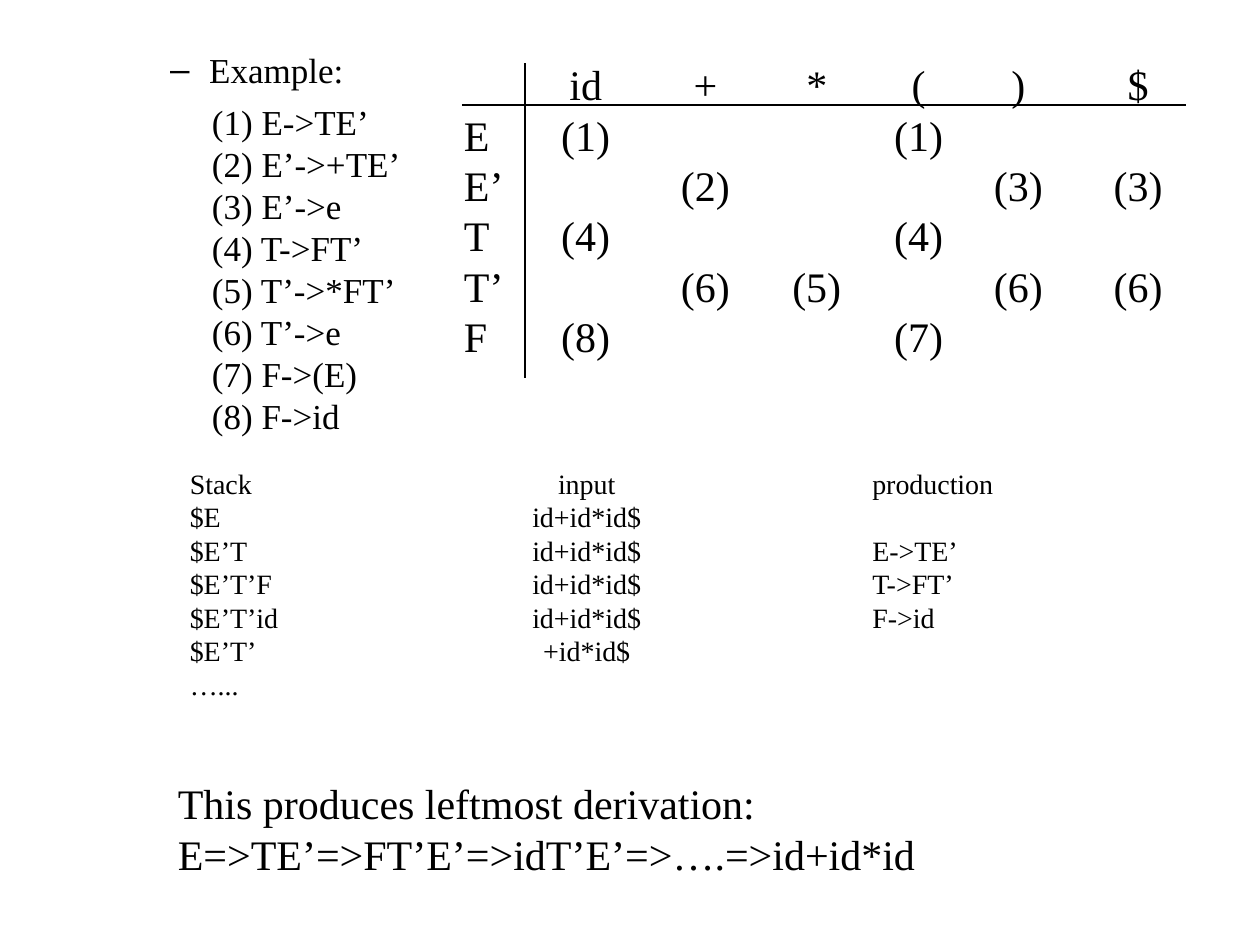
from dataclasses import dataclass

from lxml.etree import SubElement
from pptx import Presentation
from pptx.dml.color import RGBColor
from pptx.enum.shapes import MSO_CONNECTOR
from pptx.enum.text import MSO_ANCHOR, PP_ALIGN
from pptx.oxml.ns import qn
from pptx.util import Inches, Pt


@dataclass(frozen=True)
class Theme:
    font: str = "Times New Roman"
    ink: RGBColor = RGBColor(0, 0, 0)
    paper: RGBColor = RGBColor(255, 255, 255)
    large: int = 24
    medium: int = 20
    small: int = 16
    rule: float = 0.75


class SlideBuilder:
    """Places elements on a grid of 120 columns by 90 rows."""

    COLUMNS, ROWS = 120, 90

    def __init__(self, prs, theme):
        self.theme = theme
        self.unit_x = prs.slide_width / self.COLUMNS
        self.unit_y = prs.slide_height / self.ROWS
        self.slide = prs.slides.add_slide(prs.slide_layouts.get_by_name("Title and Content"))
        title = self.slide.shapes.title
        title.element.getparent().remove(title.element)
        fill = self.slide.background.fill
        fill.solid()
        fill.fore_color.rgb = theme.paper

    def x(self, columns):
        return round(columns * self.unit_x)

    def y(self, rows):
        return round(rows * self.unit_y)

    def box(self, left, top, width, height):
        return self.x(left), self.y(top), self.x(width), self.y(height)

    def style(self, p, size):
        p.alignment = PP_ALIGN.LEFT
        p.space_before = Pt(0)
        for r in p.runs:
            r.font.name = self.theme.font
            r.font.size = Pt(size)
            r.font.color.rgb = self.theme.ink

    def heading(self, text, area):
        """Body placeholder with one dash bullet."""
        sp = self.slide.placeholders[1]
        sp.left, sp.top, sp.width, sp.height = self.box(*area)
        tf = sp.text_frame
        tf.vertical_anchor = MSO_ANCHOR.TOP
        tf.margin_top = Inches(0.05)
        tf.text = text
        p = tf.paragraphs[0]
        p.level = 1
        pPr = p._p.get_or_add_pPr()
        pPr.set("marL", str(Inches(0.81)))
        pPr.set("indent", str(-Inches(0.31)))
        SubElement(pPr, qn("a:buChar"), char="–")
        self.style(p, self.theme.medium)

    def lines(self, rows, area, size, tabs=()):
        """Text box; tabs are (column offset, alignment) pairs."""
        tf = self.slide.shapes.add_textbox(*self.box(*area)).text_frame
        tf.word_wrap = True
        for i, row in enumerate(rows):
            p = tf.add_paragraph() if i else tf.paragraphs[0]
            p.text = row
            if tabs:
                tab_list = SubElement(p._p.get_or_add_pPr(), qn("a:tabLst"))
                for offset, align in tabs:
                    SubElement(tab_list, qn("a:tab"), pos=str(self.x(offset)), algn=align)
            self.style(p, size)

    def rule(self, x1, y1, x2, y2):
        line = self.slide.shapes.add_connector(
            MSO_CONNECTOR.STRAIGHT, self.x(x1), self.y(y1), self.x(x2), self.y(y2))
        line.line.color.rgb = self.theme.ink
        line.line.width = Pt(self.theme.rule)
        SubElement(line._element.spPr, qn("a:effectLst"))


GRAMMAR = ["E->TE’", "E’->+TE’", "E’->e", "T->FT’", "T’->*FT’", "T’->e", "F->(E)", "F->id"]

PARSE_TABLE = [
    ("", "id", "+", "*", "(", ")", "$"),
    ("E", "(1)", "", "", "(1)"),
    ("E’", "", "(2)", "", "", "(3)", "(3)"),
    ("T", "(4)", "", "", "(4)"),
    ("T’", "", "(6)", "(5)", "", "(6)", "(6)"),
    ("F", "(8)", "", "", "(7)"),
]

TRACE = [
    ("Stack", "input", "production"),
    ("$E", "id+id*id$"),
    ("$E’T", "id+id*id$", "E->TE’"),
    ("$E’T’F", "id+id*id$", "T->FT’"),
    ("$E’T’id", "id+id*id$", "F->id"),
    ("$E’T’", "+id*id$"),
    ("…...",),
]

DERIVATION = ["This produces leftmost derivation:", "E=>TE’=>FT’E’=>idT’E’=>….=>id+id*id"]


def tabbed(rows):
    return ["\t".join(row) for row in rows]


def main():
    prs = Presentation()
    prs.slide_width, prs.slide_height = Inches(10), Inches(7.5)
    theme = Theme()
    s = SlideBuilder(prs, theme)

    # Heading and numbered grammar
    s.heading("Example:", (9, 4, 102, 76))
    productions = [f"({n}) {rule}" for n, rule in enumerate(GRAMMAR, 1)]
    s.lines(productions, (19, 9, 22, 33.25), theme.medium)

    # Parse table with its two rules
    symbol_tabs = [(c, "ctr") for c in (11.6, 23, 33.6, 43.3, 52.8, 64.2)]
    s.lines(tabbed(PARSE_TABLE), (43, 5, 70, 30), theme.large, symbol_tabs)
    s.rule(44, 10, 113, 10)
    s.rule(50, 6, 50, 36)

    # Stack trace
    trace_tabs = [(37.8, "ctr"), (65, "l")]
    s.lines(tabbed(TRACE), (16.9, 43.8, 79, 23.6), theme.small, trace_tabs)

    # Resulting derivation
    s.lines(DERIVATION, (15.75, 73.5, 76, 10.8), theme.large)

    prs.save("out.pptx")


if __name__ == "__main__":
    main()
